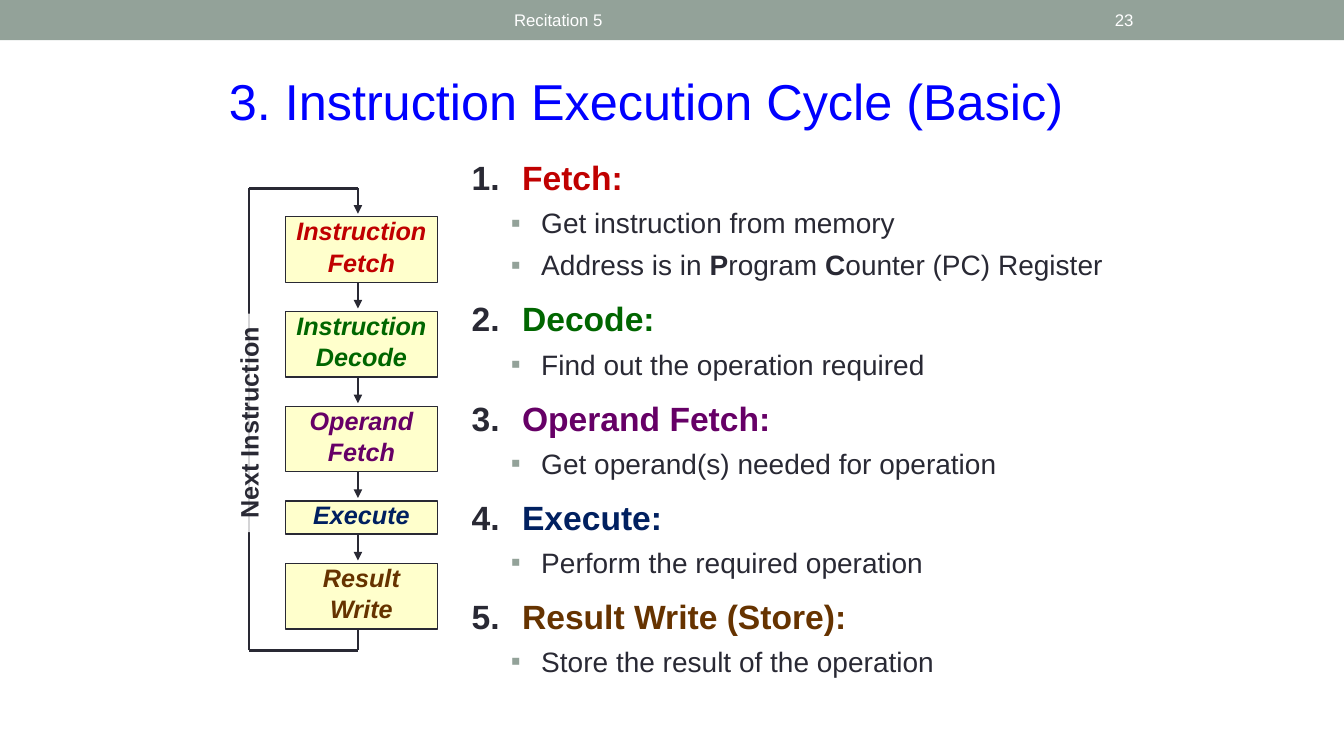
from lxml import etree
from pptx import Presentation
from pptx.dml.color import RGBColor
from pptx.enum.shapes import MSO_CONNECTOR, MSO_SHAPE
from pptx.enum.text import MSO_ANCHOR, PP_ALIGN
from pptx.oxml.ns import qn
from pptx.util import Inches, Pt

RECTANGLE = MSO_SHAPE.RECTANGLE
STRAIGHT = MSO_CONNECTOR.STRAIGHT
TOP, MIDDLE, BOTTOM = MSO_ANCHOR.TOP, MSO_ANCHOR.MIDDLE, MSO_ANCHOR.BOTTOM
LEFT, CENTER, RIGHT = PP_ALIGN.LEFT, PP_ALIGN.CENTER, PP_ALIGN.RIGHT

INK, SAGE, WHITE, CREAM, BLUE = "292934", "93A299", "FFFFFF", "FFFFCC", "0000FF"
RED, GREEN, PURPLE, NAVY, BROWN = "C00000", "006600", "660066", "002060", "663300"


def color(value):
    return RGBColor.from_string(value)


class SlideBuilder:
    """Holds the style and the slide being built."""

    font_name = "Arial"

    def __init__(self, slide):
        self.slide = slide

    def style(self, paragraph, size, ink, bold=False, italic=False, align=LEFT):
        paragraph.alignment = align
        font = paragraph.font
        font.name, font.size = self.font_name, Pt(size)
        font.bold, font.italic = bold, italic
        font.color.rgb = color(ink)

    def title(self, text, left, top, width, height):
        shape = self.slide.shapes.title
        shape.left, shape.top = Inches(left), Inches(top)
        shape.width, shape.height = Inches(width), Inches(height)
        shape.text_frame.text = text
        shape.text_frame.vertical_anchor = BOTTOM
        self.style(shape.text_frame.paragraphs[0], 36, BLUE)

    def text_box(self, left, top, width, height, anchor=TOP):
        shape = self.slide.shapes.add_textbox(
            Inches(left), Inches(top), Inches(width), Inches(height))
        frame = shape.text_frame
        frame.word_wrap = True
        frame.vertical_anchor = anchor
        return frame

    def label(self, text, left, top, width, height, align=LEFT):
        frame = self.text_box(left, top, width, height, MIDDLE)
        frame.text = text
        self.style(frame.paragraphs[0], 12, WHITE, align=align)

    def rectangle(self, left, top, width, height, fill, line=None):
        shape = self.slide.shapes.add_shape(
            RECTANGLE, Inches(left), Inches(top), Inches(width), Inches(height))
        shape.shadow.inherit = False
        shape.fill.solid()
        shape.fill.fore_color.rgb = color(fill)
        if line:
            shape.line.color.rgb = color(line)
            shape.line.width = Pt(1)
        else:
            shape.line.fill.background()
        return shape

    def stage(self, lines, ink, left, top, width, height):
        frame = self.rectangle(left, top, width, height, CREAM, INK).text_frame
        frame.margin_left = frame.margin_right = Inches(0.07)
        frame.margin_top = frame.margin_bottom = Inches(0.03)
        frame.vertical_anchor = TOP
        frame.text = "\n".join(lines)
        for index, paragraph in enumerate(frame.paragraphs):
            paragraph.line_spacing = 0.86
            if index:
                paragraph.space_before = Pt(4)
            self.style(paragraph, 18, ink, bold=True, italic=True, align=CENTER)

    def line(self, start, end, arrow=False):
        connector = self.slide.shapes.add_connector(
            STRAIGHT, *(Inches(value) for value in (*start, *end)))
        connector.line.color.rgb = color(INK)
        connector.line.width = Pt(2)
        if arrow:
            etree.SubElement(connector.line._get_or_add_ln(), qn("a:tailEnd"), type="triangle")
        etree.SubElement(connector._element.spPr, qn("a:effectLst"))

    def side_label(self, text, left, top, width, height):
        shape = self.rectangle(left, top, width, height, WHITE)
        shape.rotation = 270
        fill = shape._element.spPr.find(qn("a:solidFill"))
        etree.SubElement(fill[0], qn("a:alpha"), val="80000")
        frame = shape.text_frame
        frame.vertical_anchor = MIDDLE
        frame.text = text
        self.style(frame.paragraphs[0], 18, INK, bold=True, align=CENTER)

    def bullet(self, paragraph, ink, margin, hanging, tag, **attributes):
        properties = paragraph._p.get_or_add_pPr()
        properties.set("marL", str(Inches(margin)))
        properties.set("indent", str(-Inches(hanging)))
        bullet_color = etree.SubElement(properties, qn("a:buClr"))
        etree.SubElement(bullet_color, qn("a:srgbClr"), val=ink)
        etree.SubElement(properties, qn("a:buFont"), typeface=self.font_name)
        etree.SubElement(properties, qn(tag), **attributes)

    def outline(self, steps, left, top, width, height):
        frame = self.text_box(left, top, width, height)
        for index, (heading, ink, details) in enumerate(steps):
            paragraph = frame.add_paragraph() if index else frame.paragraphs[0]
            paragraph.text = heading
            if index:
                paragraph.space_before = Pt(12)
            self.bullet(paragraph, INK, 0.5, 0.5, "a:buAutoNum", type="arabicPeriod")
            self.style(paragraph, 24, ink, bold=True)
            for detail in details:
                paragraph = frame.add_paragraph()
                paragraph.level = 1
                paragraph.space_before = Pt(6)
                self.bullet(paragraph, SAGE, 0.69, 0.3, "a:buChar", char="▪")
                self.style(paragraph, 20, INK)
                # Asterisks enclose the bold parts
                for position, part in enumerate(detail.split("*")):
                    run = paragraph.add_run()
                    run.text = part
                    if position % 2:
                        run.font.bold = True


def main():
    presentation = Presentation()
    presentation.slide_width, presentation.slide_height = Inches(13.33), Inches(7.5)
    slide = presentation.slides.add_slide(presentation.slide_layouts[5])
    builder = SlideBuilder(slide)

    # Header band and title
    builder.rectangle(0, 0, 13.33, 0.4, SAGE)
    builder.label("Recitation 5", 5, 0.02, 6, 0.36)
    builder.title("3. Instruction Execution Cycle (Basic)", 2.17, 0.64, 9, 0.71)
    builder.label("23", 10.39, 0.02, 0.95, 0.36, RIGHT)

    # Explanation of the steps
    builder.outline([
        ("Fetch:", RED, ["Get instruction from memory",
                         "Address is in *P*rogram *C*ounter (PC) Register"]),
        ("Decode:", GREEN, ["Find out the operation required"]),
        ("Operand Fetch:", PURPLE, ["Get operand(s) needed for operation"]),
        ("Execute:", NAVY, ["Perform the required operation"]),
        ("Result Write (Store):", BROWN, ["Store the result of the operation"]),
    ], 4.58, 1.51, 6.67, 5.52)

    # Flow of stages, each followed by an arrow to the next
    stages = [(["Instruction", "Fetch"], RED), (["Instruction", "Decode"], GREEN),
              (["Operand", "Fetch"], PURPLE), (["Execute"], NAVY),
              (["Result", "Write"], BROWN)]
    flow_x, loop_x, loop_top, loop_bottom = 3.55, 2.47, 1.87, 6.45
    gap, top = 0.29, 2.15
    for index, (lines, ink) in enumerate(stages):
        height = 0.65 if len(lines) == 2 else 0.33
        builder.stage(lines, ink, 2.83, top, 1.51, height)
        bottom = top + height
        if index < len(stages) - 1:
            builder.line((flow_x, bottom), (flow_x, bottom + gap - 0.03), arrow=True)
        top = bottom + gap

    # Loop back to the first stage
    builder.line((flow_x, bottom), (flow_x, loop_bottom))
    builder.line((flow_x, loop_bottom), (loop_x, loop_bottom))
    builder.line((loop_x, loop_bottom), (loop_x, loop_top))
    builder.line((loop_x, loop_top), (flow_x, loop_top))
    builder.line((flow_x, loop_top), (flow_x, 2.12), arrow=True)
    builder.side_label("Next Instruction", 1.38, 4, 2.17, 0.39)

    presentation.save("out.pptx")


if __name__ == "__main__":
    main()
